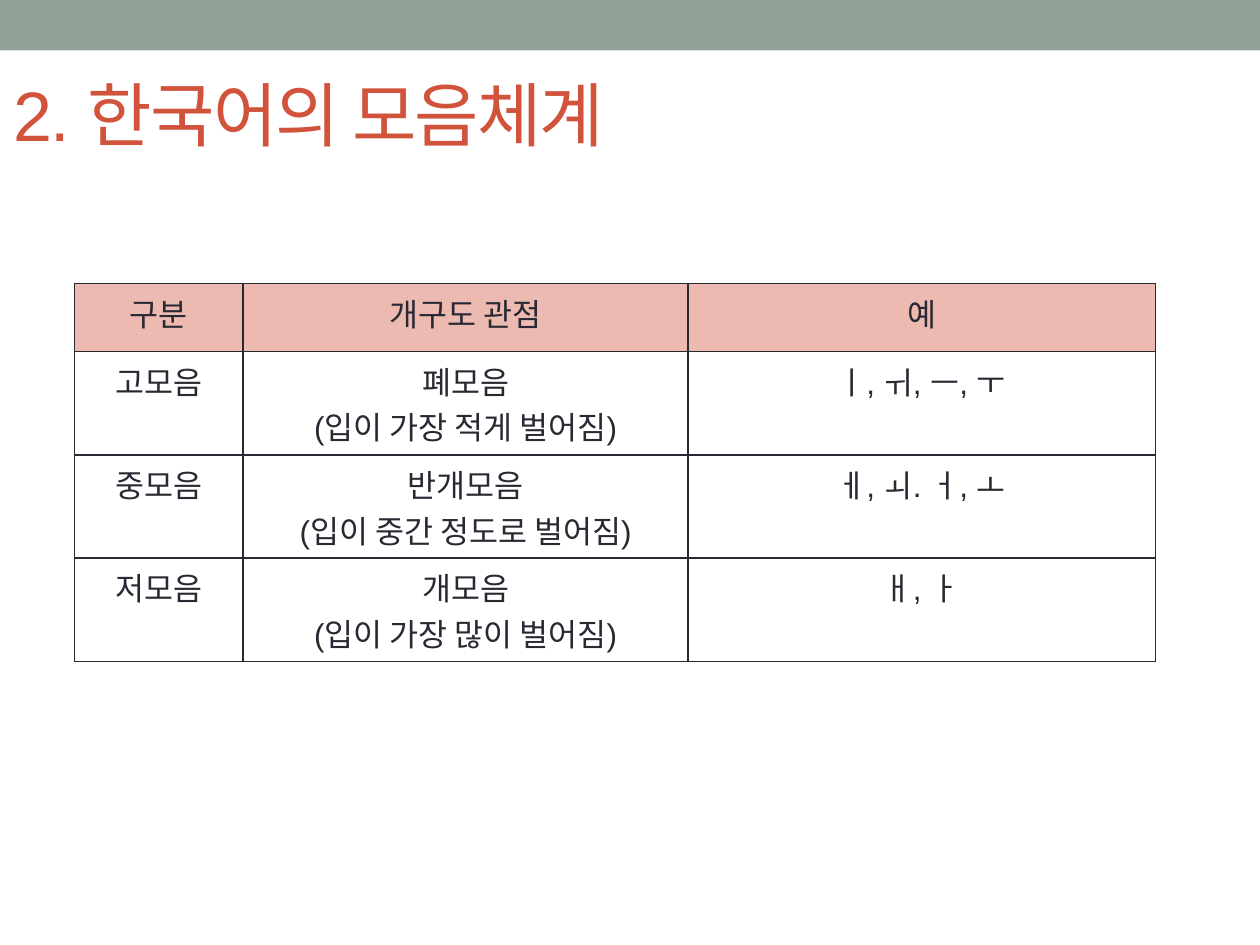
from lxml.etree import SubElement as Sub
from pptx import Presentation
from pptx.dml.color import RGBColor as RGB
from pptx.enum.shapes import MSO_SHAPE as Shape
from pptx.enum.text import MSO_ANCHOR as Anchor, PP_ALIGN as Align
from pptx.oxml.ns import qn
from pptx.util import Inches, Pt

SAGE = RGB(0x93, 0xA2, 0x99)
RED = RGB(0xD2, 0x53, 0x3C)
PINK = RGB(0xED, 0xBA, 0xB1)
INK = RGB(0x29, 0x29, 0x34)
WHITE = RGB(0xFF, 0xFF, 0xFF)

COLS = [1.34, 3.53, 3.71]
HEAD, BODY = 0.54, 0.82
ROWS = [
    ["구분", "개구도 관점", "예"],
    ["고모음", "폐모음\n(입이 가장 적게 벌어짐)", "ㅣ, ㅟ, ㅡ, ㅜ"],
    ["중모음", "반개모음\n(입이 중간 정도로 벌어짐)", "ㅔ, ㅚ. ㅓ, ㅗ"],
    ["저모음", "개모음\n(입이 가장 많이 벌어짐)", "ㅐ, ㅏ"],
]


def write(frame, text, size=18, color=INK, align=Align.CENTER, gap=None):
    """Fill a text frame, one paragraph per line."""
    frame.text = text
    frame.word_wrap = True
    for para in frame.paragraphs:
        para.alignment = align
        for run in para.runs:
            run.font.name = "Arial"
            run.font.size = Pt(size)
            run.font.color.rgb = color
            if gap is not None:
                run.font._element.set("spc", str(gap))


def edge(cell, color=INK, width=1):
    """Draw the four borders of a cell, ahead of its fill."""
    props = cell._tc.get_or_add_tcPr()
    for i, side in enumerate(("lnL", "lnR", "lnT", "lnB")):
        line = Sub(props, qn(f"a:{side}"), w=str(Pt(width)))
        fill = Sub(line, qn("a:solidFill"))
        Sub(fill, qn("a:srgbClr"), val=str(color))
        props.insert(i, line)


def add_bar(slide):
    """Add the band across the top."""
    bar = slide.shapes.add_shape(Shape.RECTANGLE, 0, 0, Inches(10), Inches(0.4))
    bar.shadow.inherit = False
    bar.fill.solid()
    bar.fill.fore_color.rgb = SAGE
    bar.line.fill.background()


def add_title(slide, text):
    """Add the slide title."""
    box = slide.shapes.add_textbox(Inches(0.01), Inches(0.36), Inches(9), Inches(1.08))
    box.text_frame.vertical_anchor = Anchor.MIDDLE
    write(box.text_frame, text, size=40, color=RED, align=Align.LEFT, gap=-100)


def add_grid(slide, rows):
    """Add the vowel table with a tinted header row."""
    high = HEAD + BODY * (len(rows) - 1)
    table = slide.shapes.add_table(
        len(rows), len(COLS), Inches(0.59), Inches(2.25), Inches(sum(COLS)), Inches(high)
    ).table
    table.horz_banding = table.first_row = False
    for col, wide in zip(table.columns, COLS):
        col.width = Inches(wide)
    for r, row in enumerate(rows):
        table.rows[r].height = Inches(BODY if r else HEAD)
        for c, text in enumerate(row):
            cell = table.cell(r, c)
            cell.fill.solid()
            cell.fill.fore_color.rgb = WHITE if r else PINK
            edge(cell)
            write(cell.text_frame, text)


def main():
    """Build and save the slide."""
    deck = Presentation()
    deck.slide_width, deck.slide_height = Inches(10), Inches(7.5)
    slide = deck.slides.add_slide(deck.slide_layouts[6])
    add_bar(slide)
    add_title(slide, "2. 한국어의 모음체계")
    add_grid(slide, ROWS)
    deck.save("out.pptx")


if __name__ == "__main__":
    main()
